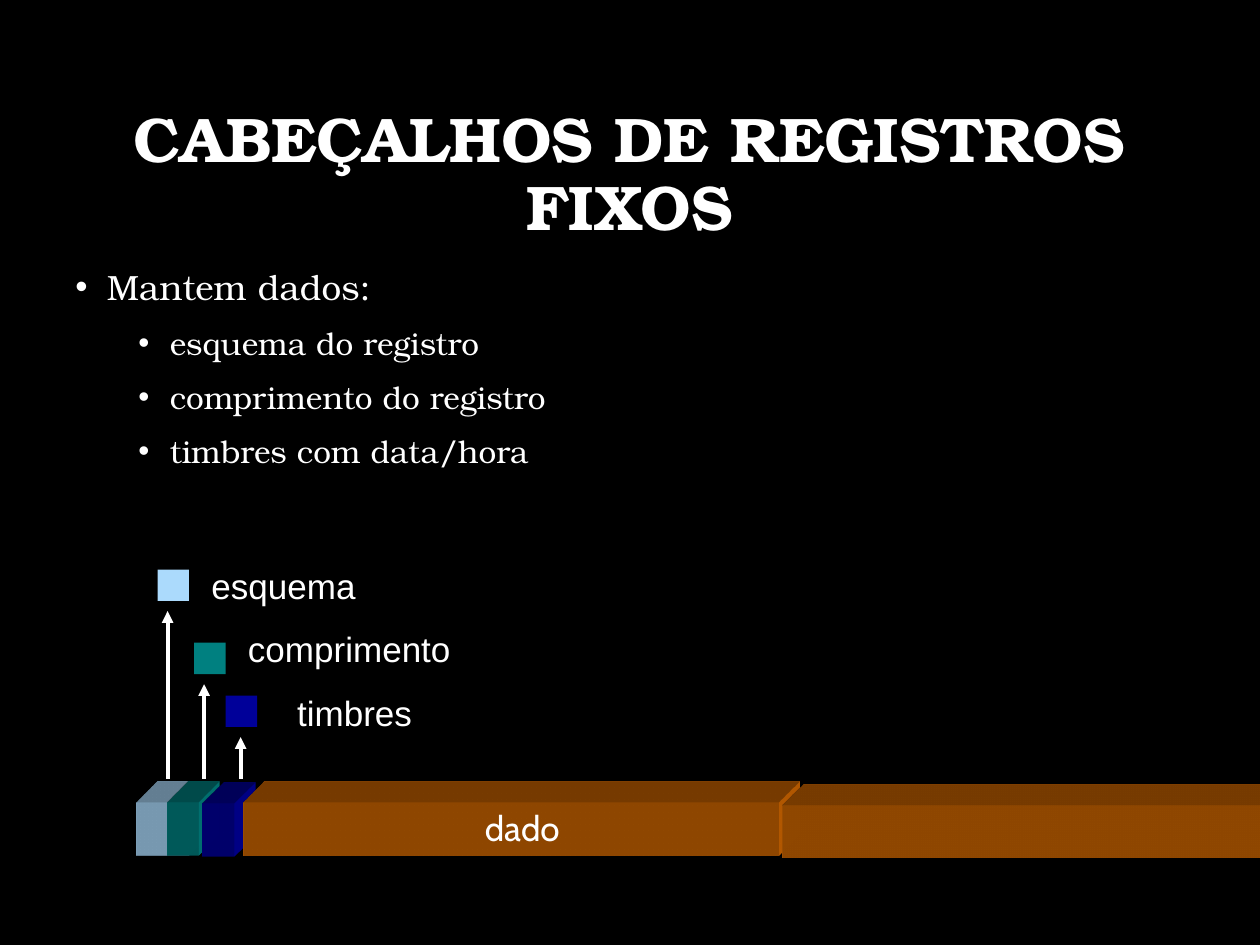
from dataclasses import dataclass

from lxml import etree
from pptx import Presentation, oxml, util as u
from pptx.dml import color
from pptx.enum import shapes, text
from pptx.oxml import ns


@dataclass(frozen=True)
class Theme:
    background: str = "000000"
    ink: str = "FFFFFF"
    schema: str = "ABDAFC"
    length: str = "008080"
    stamp: str = "000099"
    data: str = "CC6600"
    serif: str = "TeX Gyre Bonum"
    sans: str = "Arial"
    humanist: str = "Cabin"
    title_size: int = 36
    body_size: int = 20
    sub_size: int = 18


class SlideBuilder:
    COLUMNS, ROWS = 100, 75

    def __init__(self, deck, theme):
        self.theme = theme
        self.column = deck.slide_width / self.COLUMNS
        self.row = deck.slide_height / self.ROWS
        self.slide = deck.slides.add_slide(deck.slide_layouts[6])
        fill = self.slide.background.fill
        fill.solid()
        fill.fore_color.rgb = color.RGBColor.from_string(theme.background)

    def place(self, left, top, width, height):
        return (round(left * self.column), round(top * self.row),
                round(width * self.column), round(height * self.row))

    def format(self, paragraph, size, font, bold=False):
        for run in paragraph.runs:
            run.font.size = u.Pt(size)
            run.font.name = font
            run.font.bold = bold
            run.font.color.rgb = color.RGBColor.from_string(self.theme.ink)

    def label(self, words, area, size, font, bold=False, spacing=1.0,
              align=text.PP_ALIGN.LEFT, anchor=text.MSO_ANCHOR.TOP):
        frame = self.slide.shapes.add_textbox(*self.place(*area)).text_frame
        frame.word_wrap = True
        frame.vertical_anchor = anchor
        frame.text = words
        paragraph = frame.paragraphs[0]
        paragraph.alignment = align
        paragraph.line_spacing = spacing
        self.format(paragraph, size, font, bold)

    def bullets(self, items, area):
        frame = self.slide.shapes.add_textbox(*self.place(*area)).text_frame
        frame.word_wrap = True
        for index, (level, words) in enumerate(items):
            paragraph = frame.add_paragraph() if index else frame.paragraphs[0]
            paragraph.text = words
            paragraph.level = level
            paragraph.line_spacing = 1.2
            paragraph.space_before = u.Pt(5 if level else 10)
            self.format(paragraph, self.theme.sub_size if level else self.theme.body_size,
                        self.theme.serif)
            properties = paragraph._p.get_or_add_pPr()
            properties.set("marL", str(u.Inches(0.25 + 0.5 * level)))
            properties.set("indent", str(-u.Inches(0.25)))
            etree.SubElement(properties, ns.qn("a:buFont"), typeface=self.theme.sans)
            etree.SubElement(properties, ns.qn("a:buChar"), char="•")

    def square(self, fill, area):
        box = self.slide.shapes.add_shape(shapes.MSO_SHAPE.RECTANGLE, *self.place(*area))
        box.shadow.inherit = False
        box.fill.solid()
        box.fill.fore_color.rgb = color.RGBColor.from_string(fill)
        box.line.fill.background()
        return box

    def block(self, fill, area):
        properties = self.square(fill, area)._element.spPr
        for depth in (
            '<a:scene3d %s><a:camera prst="legacyObliqueTopRight"/>'
            '<a:lightRig rig="legacyFlat3" dir="b"/></a:scene3d>' % ns.nsdecls("a"),
            '<a:sp3d %s extrusionH="430200" prstMaterial="legacyMatte">'
            '<a:extrusionClr><a:srgbClr val="%s"/></a:extrusionClr></a:sp3d>'
            % (ns.nsdecls("a"), fill),
        ):
            properties.append(oxml.parse_xml(depth))

    def arrow_up(self, x, bottom, top):
        left, start, _, _ = self.place(x, bottom, 0, 0)
        end = round(top * self.row)
        arrow = self.slide.shapes.add_connector(
            shapes.MSO_CONNECTOR.STRAIGHT, left, start, left, end)
        arrow.line.width = u.Pt(2.25)
        arrow.line.color.rgb = color.RGBColor.from_string(self.theme.ink)
        etree.SubElement(arrow.line._get_or_add_ln(), ns.qn("a:tailEnd"), type="triangle")
        etree.SubElement(arrow._element.spPr, ns.qn("a:effectLst"))


def main():
    deck = Presentation()
    deck.slide_width, deck.slide_height = u.Inches(10), u.Inches(7.5)
    theme = Theme()
    page = SlideBuilder(deck, theme)

    page.label("CABEÇALHOS DE REGISTROS FIXOS", (7.5, 6.7, 84.9, 14.5),
               theme.title_size, theme.serif, bold=True, spacing=0.9,
               align=text.PP_ALIGN.CENTER, anchor=text.MSO_ANCHOR.MIDDLE)
    page.bullets([(0, "Mantem dados:"), (1, "esquema do registro"),
                  (1, "comprimento do registro"), (1, "timbres com data/hora")],
                 (5, 19.9, 90, 51.5))

    record = [(theme.schema, 10.8, 63.7, 4.2), (theme.length, 13.3, 63.7, 2.5),
              (theme.stamp, 16.1, 63.8, 2.5), (theme.data, 19.3, 63.7, 42.5),
              (theme.data, 62.1, 63.9, 42.5)]
    for fill, left, top, width in record:
        page.block(fill, (left, top, width, 4.2))
    page.label("dado", (21, 63.5, 40.9, 4.3), theme.body_size, theme.humanist,
               align=text.PP_ALIGN.CENTER)

    header_fields = [("esquema", theme.schema, 12.5, 45.2, 15.8, 45.2),
                     ("comprimento", theme.length, 15.4, 51, 18.7, 50.2),
                     ("timbres", theme.stamp, 17.9, 55.2, 22.6, 55.3)]
    for index, (name, fill, left, top, name_left, name_top) in enumerate(header_fields):
        page.square(fill, (left, top, 2.5, 2.5))
        page.arrow_up(13.3 + 2.9 * index, 61.8, top + 3.3)
        page.label(name, (name_left, name_top, 27.7, 3.4),
                   theme.body_size, theme.sans, spacing=0.7)

    deck.save("out.pptx")


if __name__ == "__main__":
    main()
